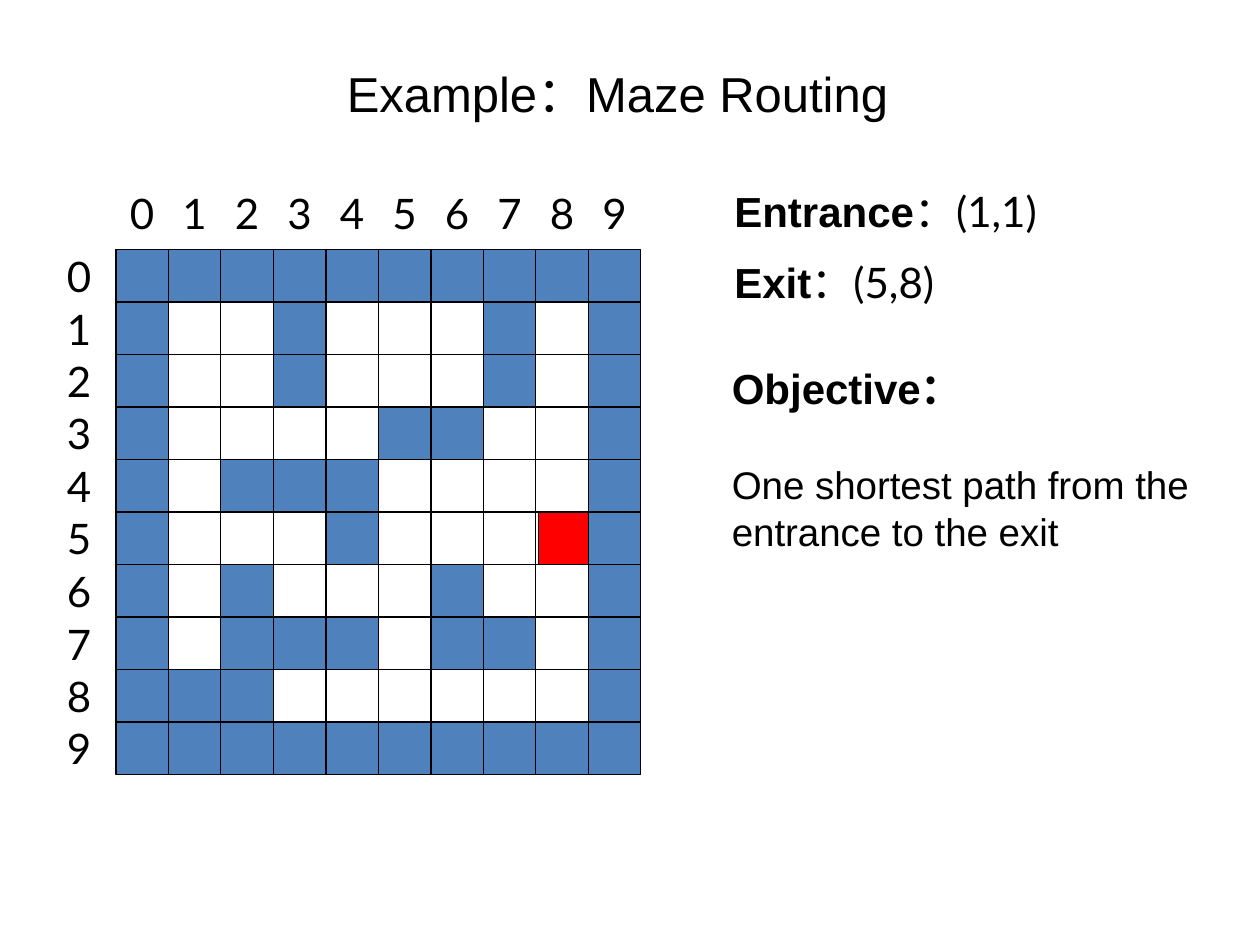
"""Build the maze routing example slide."""
from pptx import Presentation
from pptx.dml.color import RGBColor
from pptx.enum.shapes import MSO_SHAPE as Shape
from pptx.enum.text import MSO_ANCHOR as Anchor, MSO_AUTO_SIZE as Fit, PP_ALIGN as Align
from pptx.util import Inches, Pt

BLACK = RGBColor(0x00, 0x00, 0x00)
BLUE = RGBColor(0x4F, 0x81, 0xBD)
RED = RGBColor(0xFF, 0x00, 0x00)

MAZE = [
    "##########",
    "#..#...#.#",
    "#..#...#.#",
    "#....##..#",
    "#.###....#",
    "#...#....#",
    "#.#...#..#",
    "#.###.##.#",
    "###......#",
    "##########",
]
EXIT = (5, 8)
SIDE = Inches(5) // 12
LEFT, TOP = Inches(0.92), Inches(1.98)

prs = Presentation()
prs.slide_width, prs.slide_height = Inches(10), Inches(7.5)
slide = prs.slides.add_slide(prs.slide_layouts[5])
shapes = slide.shapes


def add_run(para, text, size, face="Arial", bold=False):
    run = para.add_run()
    run.text = text
    font = run.font
    font.size, font.name, font.bold = Pt(size), face, bold
    font.color.rgb = BLACK


def add_cell(x, y, color=None):
    cell = shapes.add_shape(Shape.RECTANGLE, x, y, SIDE, SIDE)
    cell.shadow.inherit = False
    cell.line.color.rgb = BLACK
    cell.line.width = Pt(0.75)
    if color is None:
        cell.fill.background()
    else:
        cell.fill.solid()
        cell.fill.fore_color.rgb = color


title = shapes.title
title.left, title.top = Inches(0.4), Inches(0.11)
title.width, title.height = Inches(9), Inches(1.25)
frame = title.text_frame
frame.vertical_anchor = Anchor.MIDDLE
frame.paragraphs[0].alignment = Align.CENTER
add_run(frame.paragraphs[0], "Example：Maze Routing", 28)

for row, line in enumerate(MAZE):
    for col, mark in enumerate(line):
        x, y = LEFT + col * SIDE, TOP + row * SIDE
        add_cell(x, y, BLUE if mark == "#" else None)
        if (row, col) == EXIT:
            add_cell(x + Inches(0.02), y, RED)

for num in range(len(MAZE)):
    step = num * SIDE
    for x, y in ((LEFT + step, Inches(1.48)), (Inches(0.42), TOP + step)):
        frame = shapes.add_textbox(x, y, SIDE, SIDE).text_frame
        frame.word_wrap = False
        frame.vertical_anchor = Anchor.MIDDLE
        frame.paragraphs[0].alignment = Align.CENTER
        add_run(frame.paragraphs[0], str(num), 24, "Lato")

ends = shapes.add_textbox(Inches(5.73), Inches(1.42), Inches(2.94), Inches(1.11))
frame = ends.text_frame
frame.word_wrap = True
frame.auto_size = Fit.SHAPE_TO_FIT_TEXT
first, last = frame.paragraphs[0], frame.add_paragraph()
last.space_before = Pt(12)
for para, name, spot in ((first, "Entrance", "：(1,1)"), (last, "Exit", "：(5,8)")):
    add_run(para, name, 24, bold=True)
    add_run(para, spot, 24, "Lato")

goal = shapes.add_textbox(Inches(5.71), Inches(2.83), Inches(4.19), Inches(1.65))
frame = goal.text_frame
frame.word_wrap = True
frame.auto_size = Fit.SHAPE_TO_FIT_TEXT
add_run(frame.paragraphs[0], "Objective：", 24, bold=True)
para = frame.add_paragraph()
para.space_before = Pt(27.6)
add_run(para, "One shortest path from the entrance to the exit", 22)

prs.save("out.pptx")
